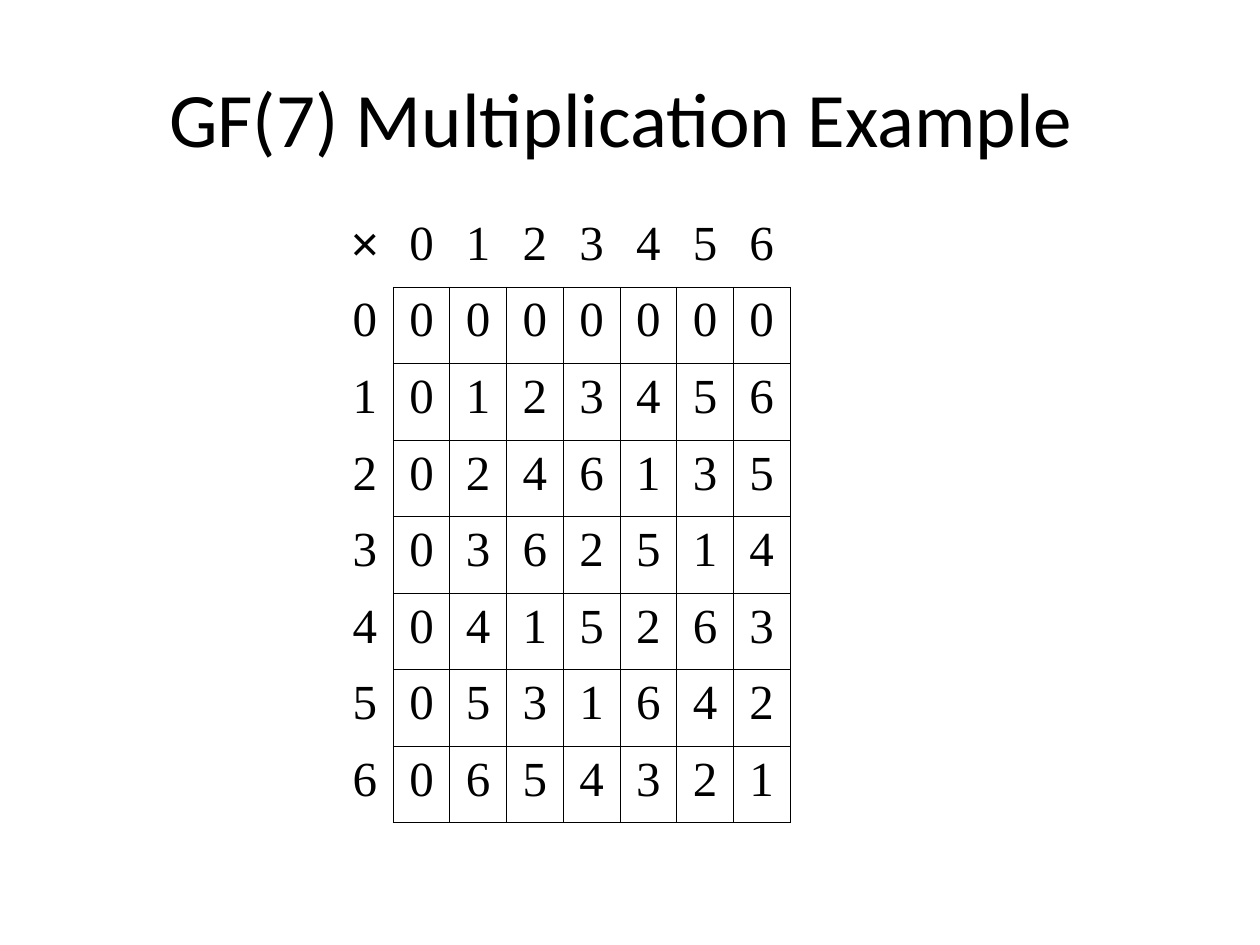
from lxml.etree import SubElement
from pptx import Presentation
from pptx.dml.color import RGBColor
from pptx.enum.text import MSO_ANCHOR, PP_ALIGN
from pptx.oxml.ns import qn
from pptx.util import Inches, Pt


def style_paragraph(paragraph, font_name, size, color="000000"):
    paragraph.alignment = PP_ALIGN.CENTER
    paragraph.font.name = font_name
    paragraph.font.size = Pt(size)
    paragraph.font.color.rgb = RGBColor.from_string(color)


def set_border(cell, side, visible, color="000000"):
    line = SubElement(cell._tc.get_or_add_tcPr(), qn(f"a:ln{side}"), w=str(Pt(0.45)))
    if visible:
        fill = SubElement(line, qn("a:solidFill"))
        SubElement(fill, qn("a:srgbClr"), val=color)
    else:
        SubElement(line, qn("a:noFill"))


presentation = Presentation()
presentation.slide_width = Inches(10)
presentation.slide_height = Inches(7.5)
slide = presentation.slides.add_slide(presentation.slide_layouts[6])

title = slide.shapes.add_textbox(Inches(0.5), Inches(0.3), Inches(9), Inches(1.25))
title.text_frame.word_wrap = True
title.text_frame.vertical_anchor = MSO_ANCHOR.MIDDLE
title.text_frame.text = "GF(7) Multiplication Example "
style_paragraph(title.text_frame.paragraphs[0], "Calibri", 44)

order = 7
size = order + 1
table = slide.shapes.add_table(
    size, size, Inches(2.67), Inches(1.67), Inches(3.6), Inches(4.86)
).table
table.first_row = False
table.horz_banding = False

for row in range(size):
    for column in range(size):
        cell = table.cell(row, column)
        if row and column:
            text = str((row - 1) * (column - 1) % order)
        elif row or column:
            text = str(row + column - 1)
        else:
            text = "×"
        cell.text = text
        paragraph = cell.text_frame.paragraphs[0]
        paragraph.space_after = Pt(3)
        style_paragraph(paragraph, "Times New Roman" if row or column else "Arial", 28)

        set_border(cell, "L", row and column)
        set_border(cell, "R", row)
        set_border(cell, "T", row and column)
        set_border(cell, "B", column)
        cell.fill.background()

presentation.save("out.pptx")
